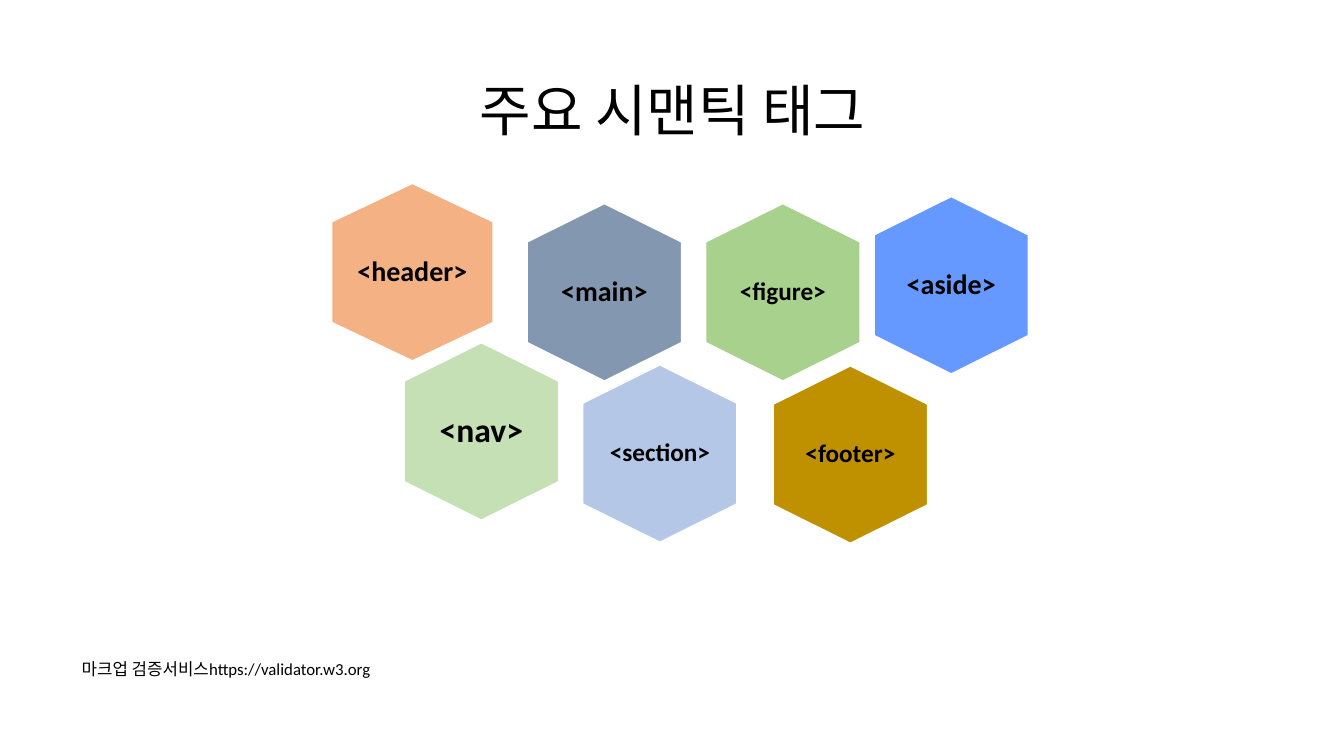
from lxml import etree
from pptx import Presentation
from pptx import util as u
from pptx.dml.color import RGBColor
from pptx.enum import text
from pptx.oxml.ns import qn

LATIN, KOREAN = "Calibri", "Noto Sans CJK KR"
HEX_W, HEX_H, SHOULDER = 1.53, 1.76, 0.38

# tag, left, top, width, fill, text size
TAGS = [
    ("<figure>", 7.0, 2.02, HEX_W, "A9D18E", 18),
    ("<nav>", 4.01, 3.4, HEX_W, "C5E0B4", 24),
    ("<main>", 5.23, 2.02, HEX_W, "8497B0", 20),
    ("<section>", 5.78, 3.62, HEX_W, "B4C7E7", 18),
    ("<footer>", 7.67, 3.63, HEX_W, "BF9000", 18),
    ("<header>", 3.29, 1.82, 1.6, "F4B183", 20),
    ("<aside>", 8.67, 1.95, HEX_W, "6699FF", 20),
]


def rgb(value):
    return RGBColor.from_string(value)


def write(sp, words, size, align, inset, font=LATIN, bold=False):
    """Put one vertically centred paragraph into a shape."""
    tf = sp.text_frame
    tf.word_wrap = True
    tf.vertical_anchor = text.MSO_ANCHOR.MIDDLE
    tf.margin_left = tf.margin_right = u.Inches(inset[0])
    tf.margin_top = tf.margin_bottom = u.Inches(inset[1])
    p = tf.paragraphs[0]
    p.text = words
    p.alignment = align
    p.line_spacing = 0.9
    p.font.name = font
    p.font.size = u.Pt(size)
    p.font.bold = bold
    p.font.color.rgb = rgb("000000")
    # Typeface for the Korean letters
    props = p._p.pPr.find(qn("a:defRPr"))
    etree.SubElement(props, qn("a:ea"), typeface=KOREAN)


def add_text(slide, box, words, size, align, inset, font=LATIN):
    sp = slide.shapes.add_textbox(*map(u.Inches, box))
    write(sp, words, size, align, inset, font)


def add_hexagon(slide, box, tag, fill, size):
    x, y, w, h = box
    points = [
        (x + w, y + SHOULDER), (x + w, y + h - SHOULDER), (x + w / 2, y + h),
        (x, y + h - SHOULDER), (x, y + SHOULDER),
    ]
    outline = slide.shapes.build_freeform(u.Inches(x + w / 2), u.Inches(y))
    outline.add_line_segments([(u.Inches(a), u.Inches(b)) for a, b in points])
    sp = outline.convert_to_shape()
    sp.shadow.inherit = False
    sp.fill.solid()
    sp.fill.fore_color.rgb = rgb(fill)
    sp.line.color.rgb = rgb("FFFFFF")
    sp.line.width = u.Pt(1)
    write(sp, tag, size, text.PP_ALIGN.CENTER, (0.24, 0.27), bold=True)


def main():
    prs = Presentation()
    prs.slide_width, prs.slide_height = u.Inches(13.33), u.Inches(7.5)
    slide = prs.slides.add_slide(prs.slide_layouts[6])

    # Title
    add_text(slide, (0.92, 0.4, 11.5, 1.45), "주요 시맨틱 태그", 40,
             text.PP_ALIGN.CENTER, (0.1, 0.05), KOREAN)

    # Honeycomb of tags
    for tag, x, y, w, fill, size in TAGS:
        add_hexagon(slide, (x, y, w, HEX_H), tag, fill, size)

    # Validator note
    add_text(slide, (0.75, 6.36, 5.51, 0.58),
             "마크업 검증서비스https://validator.w3.org", 12,
             text.PP_ALIGN.LEFT, (0.06, 0.06))

    prs.save("out.pptx")


if __name__ == "__main__":
    main()
